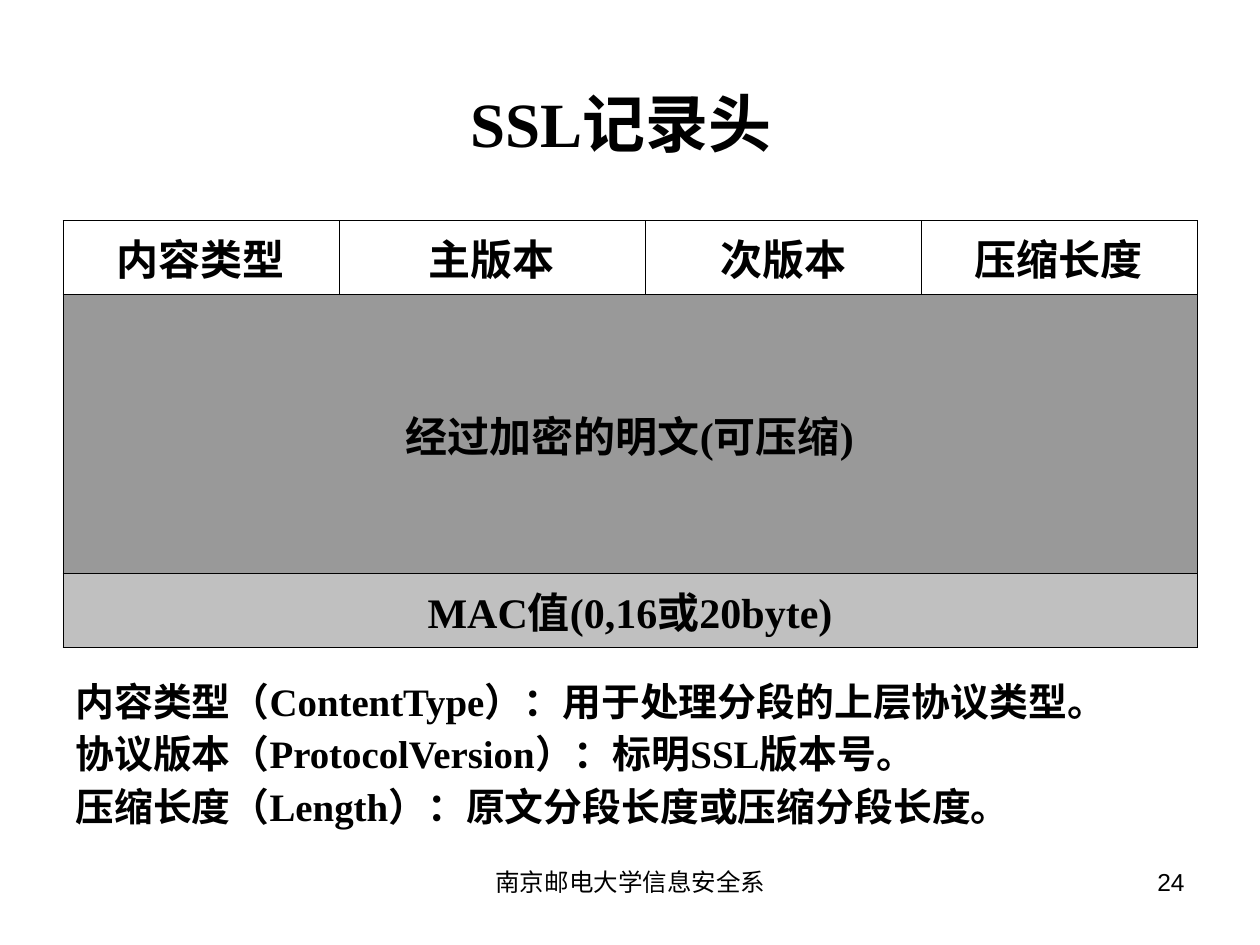
from dataclasses import dataclass
from typing import Any

from pptx import Presentation
from pptx.dml.color import RGBColor
from pptx.enum.text import MSO_ANCHOR as Anchor, PP_ALIGN as Align
from pptx.oxml import parse_xml
from pptx.oxml.ns import nsdecls
from pptx.util import Emu, Inches, Pt

COLORS = {"ink": "000000", "paper": "FFFFFF", "payload": "999999", "mac": "C0C0C0"}
SLIDE_WIDTH, SLIDE_HEIGHT = Inches(10), Inches(7.5)
SERIF, SANS = "Times New Roman", "Arial"
HANGING = Inches(0.38)
BORDER = Pt(0.45)

FOOTER_FONT = {"name": SANS, "size": Pt(14), "bold": False}
TITLE_FONT = {"name": SERIF, "size": Pt(36), "bold": True}
TITLE_END_FONT = {"name": SANS, "size": Pt(44), "bold": False}
CELL_FONT = {"name": SERIF, "size": Pt(24), "bold": True}
NOTE_FONT = {"name": SERIF, "size": Pt(22.2), "bold": True}


@dataclass(frozen=True)
class Area:
    left: float
    top: float
    width: float
    height: float

    def lengths(self) -> tuple[Emu, ...]:
        return (across(self.left), down(self.top), across(self.width), down(self.height))


@dataclass(frozen=True)
class TextBlock:
    area: Area
    paragraphs: list[list[tuple[str, dict[str, Any]]]]
    layout: dict[str, Any]
    anchor: Anchor = Anchor.TOP
    hanging: bool = False
    gap: float = 0


@dataclass(frozen=True)
class RecordRow:
    height: float
    labels: list[str]
    color: str
    anchor: Anchor = Anchor.TOP


def across(percent: float) -> Emu:
    return Emu(round(SLIDE_WIDTH * percent / 100))


def down(percent: float) -> Emu:
    return Emu(round(SLIDE_HEIGHT * percent / 100))


def apply(target: Any, values: dict[str, Any]) -> None:
    for name, value in values.items():
        setattr(target, name, value)


def add_run(paragraph: Any, text: str, font: dict[str, Any]) -> None:
    run = paragraph.add_run()
    run.text = text
    apply(run.font, font)
    run.font.color.rgb = RGBColor.from_string(COLORS["ink"])


def hang(paragraph: Any) -> None:
    properties = paragraph._p.get_or_add_pPr()
    properties.set("marL", str(HANGING))
    properties.set("indent", str(-HANGING))


def add_text(slide: Any, block: TextBlock) -> None:
    frame = slide.shapes.add_textbox(*block.area.lengths()).text_frame
    apply(frame, {"word_wrap": True, "vertical_anchor": block.anchor})
    for index, runs in enumerate(block.paragraphs):
        paragraph = frame.add_paragraph() if index else frame.paragraphs[0]
        if block.hanging:
            hang(paragraph)
        apply(paragraph, block.layout)
        if index and block.gap:
            paragraph.space_before = Pt(block.gap)
        for text, font in runs:
            add_run(paragraph, text, font)


def draw_borders(cell: Any) -> None:
    properties = cell._tc.get_or_add_tcPr()
    for index, side in enumerate(("lnL", "lnR", "lnT", "lnB")):
        properties.insert(index, parse_xml(
            f'<a:{side} {nsdecls("a")} w="{BORDER}"><a:solidFill>'
            f'<a:srgbClr val="{COLORS["ink"]}"/></a:solidFill></a:{side}>'
        ))


def add_record(slide: Any, area: Area, columns: list[float], rows: list[RecordRow]) -> None:
    table = slide.shapes.add_table(len(rows), len(columns), *area.lengths()).table
    apply(table, {"first_row": False, "horz_banding": False})
    for column, width in zip(table.columns, columns):
        column.width = across(width)
    for index, row in enumerate(rows):
        table.rows[index].height = down(row.height)
        for position in range(len(columns)):
            cell = table.cell(index, position)
            cell.fill.solid()
            cell.fill.fore_color.rgb = RGBColor.from_string(COLORS[row.color])
            cell.vertical_anchor = row.anchor
            draw_borders(cell)
        if len(row.labels) == 1:
            table.cell(index, 0).merge(table.cell(index, len(columns) - 1))
        for position, label in enumerate(row.labels):
            paragraph = table.cell(index, position).text_frame.paragraphs[0]
            hang(paragraph)
            paragraph.alignment = Align.CENTER
            add_run(paragraph, label, CELL_FONT)


NOTES = [
    "内容类型（ContentType）：用于处理分段的上层协议类型。",
    "协议版本（ProtocolVersion）：标明SSL版本号。",
    "压缩长度（Length）：原文分段长度或压缩分段长度。",
]
BLOCKS = [
    TextBlock(Area(34.2, 91.07, 31.7, 6.93),
              [[("南京邮电大学信息安全系", FOOTER_FONT)]], {"alignment": Align.CENTER}),
    TextBlock(Area(71.7, 91.07, 23.3, 6.93),
              [[("24", FOOTER_FONT)]], {"alignment": Align.RIGHT}),
    TextBlock(Area(5, 4, 90, 16.67),
              [[("SSL记录头", TITLE_FONT), (" ", TITLE_END_FONT)]],
              {"alignment": Align.CENTER}, Anchor.MIDDLE),
    TextBlock(Area(5, 71.6, 90, 19.33), [[(note, NOTE_FONT)] for note in NOTES],
              {"alignment": Align.LEFT, "line_spacing": 0.9}, hanging=True, gap=6),
]
RECORD_COLUMNS = [21.9, 24.3, 21.9, 21.9]
RECORD_ROWS = [
    RecordRow(7.87, ["内容类型", "主版本", "次版本", "压缩长度"], "paper"),
    RecordRow(29.47, ["经过加密的明文(可压缩)"], "payload", Anchor.MIDDLE),
    RecordRow(7.87, ["MAC值(0,16或20byte)"], "mac"),
]


def main() -> None:
    presentation = Presentation()
    apply(presentation, {"slide_width": SLIDE_WIDTH, "slide_height": SLIDE_HEIGHT})
    slide = presentation.slides.add_slide(presentation.slide_layouts[6])
    for block in BLOCKS:
        add_text(slide, block)
    record_height = sum(row.height for row in RECORD_ROWS)
    add_record(slide, Area(5, 23.33, 90, record_height), RECORD_COLUMNS, RECORD_ROWS)
    presentation.save("out.pptx")


if __name__ == "__main__":
    main()
